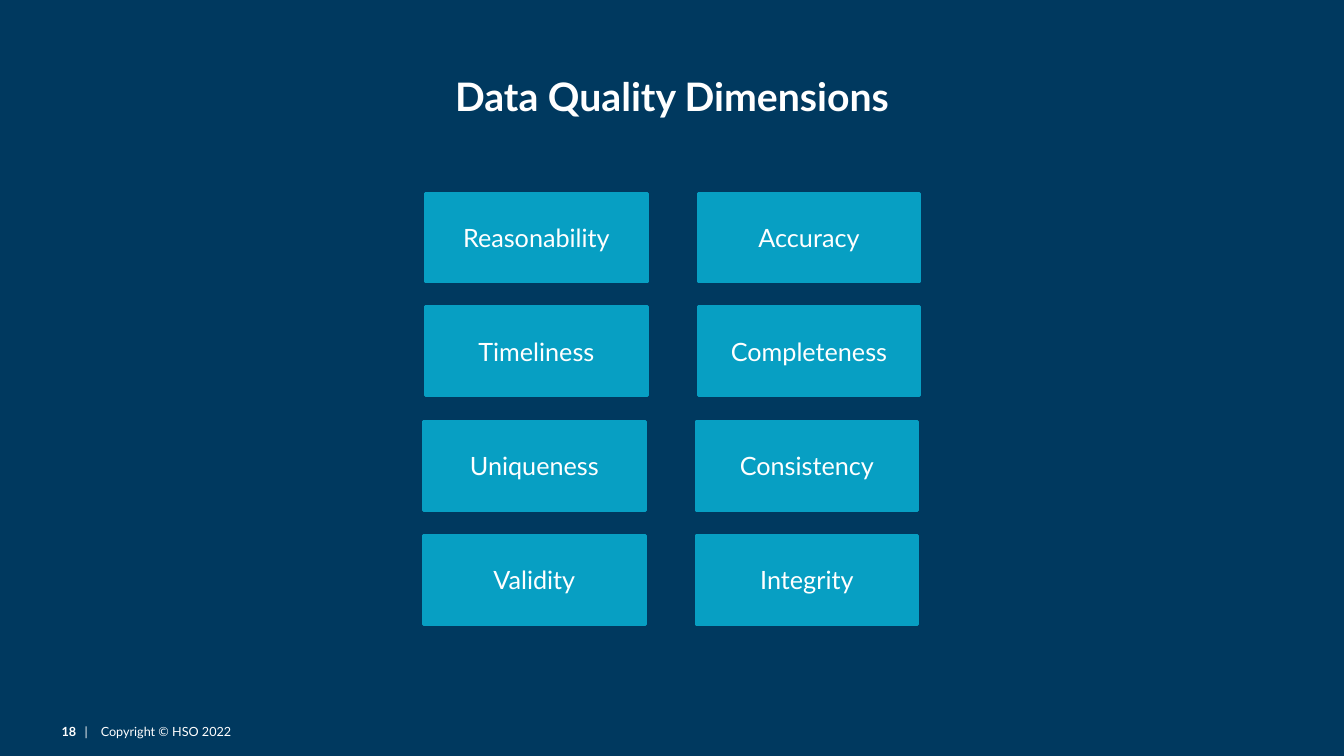
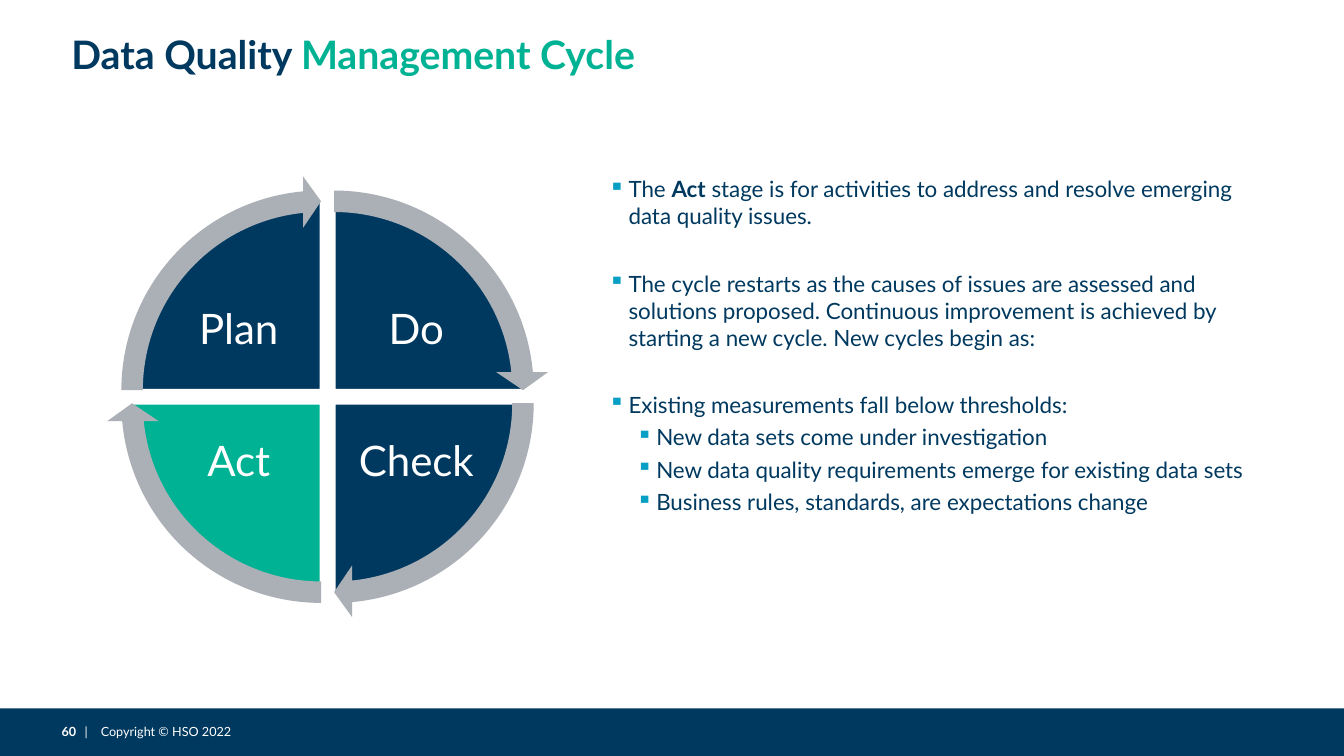
"""Build two data quality slides: the dimensions grid and the management cycle."""
import pptx
import pptx.dml.color
import pptx.enum.shapes
import pptx.enum.text
import pptx.oxml.ns
import pptx.util
from lxml import etree

Pt = pptx.util.Pt
SHAPE = pptx.enum.shapes.MSO_SHAPE
ALIGN = pptx.enum.text.PP_ALIGN
ANCHOR = pptx.enum.text.MSO_ANCHOR

COLOURS = {
    "navy": "00395F",
    "blue": "079FC3",
    "green": "00B294",
    "grey": "ABAFB6",
    "white": "FFFFFF",
}
FONT = "Lato"
SLIDE_WIDTH, SLIDE_HEIGHT = 960, 540
BAND_TOP = 506
COPYRIGHT = "Copyright © HSO 2022"

DIMENSION_ROWS = [
    (304, 138, ("Reasonability", "Accuracy")),
    (304, 219, ("Timeliness", "Completeness")),
    (302.5, 301, ("Uniqueness", "Consistency")),
    (302.5, 382.5, ("Validity", "Integrity")),
]
COLUMN_STEP = 194.7

STAGES = [
    ("Check", "navy", 1, 1),
    ("Act", "green", -1, 1),
    ("Plan", "navy", -1, -1),
    ("Do", "navy", 1, -1),
]
CYCLE_X, CYCLE_Y = 234, 283.4
HALF_GAP = 4.65
QUARTER, FULL_TURN = 54, 216
ARROW_SWEEP = 50.72

CYCLE_POINTS = [
    (0, 0, [("The ", False), ("Act", True),
            (" stage is for activities to address and resolve emerging data quality issues.", False)]),
    (0, 29, [("The cycle restarts as the causes of issues are assessed and solutions proposed. "
              "Continuous improvement is achieved by starting a new cycle. New cycles begin as:", False)]),
    (0, 29, [("Existing measurements fall below thresholds:", False)]),
    (1, 4, [("New data sets come under investigation", False)]),
    (1, 4, [("New data quality requirements emerge for existing data sets", False)]),
    (1, 4, [("Business rules, standards, are expectations change", False)]),
]


def rgb(colour):
    return pptx.dml.color.RGBColor.from_string(COLOURS[colour])


def add_run(paragraph, text, size, colour, bold=False):
    run = paragraph.add_run()
    run.text = text
    run.font.name = FONT
    run.font.size = Pt(size)
    run.font.bold = bold
    run.font.color.rgb = rgb(colour)


def set_frame(frame, inset_x, inset_y, anchor=ANCHOR.MIDDLE):
    frame.word_wrap = True
    frame.vertical_anchor = anchor
    frame.margin_left = frame.margin_right = Pt(inset_x)
    frame.margin_top = frame.margin_bottom = Pt(inset_y)


def add_text_box(slide, left, top, width, height, inset_x, inset_y, anchor=ANCHOR.MIDDLE):
    box = slide.shapes.add_textbox(Pt(left), Pt(top), Pt(width), Pt(height))
    set_frame(box.text_frame, inset_x, inset_y, anchor)
    return box.text_frame


def add_filled_shape(slide, preset, left, top, width, height, fill, line=None):
    shape = slide.shapes.add_shape(preset, Pt(left), Pt(top), Pt(width), Pt(height))
    shape.shadow.inherit = False
    shape.fill.solid()
    shape.fill.fore_color.rgb = rgb(fill)
    if line:
        shape.line.color.rgb = rgb(line)
        shape.line.width = Pt(2)
    else:
        shape.line.fill.background()
    return shape


def add_child(parent, tag, **attributes):
    child = etree.SubElement(parent, pptx.oxml.ns.qn(tag))
    for name, value in attributes.items():
        child.set(name, str(value))
    return child


def add_title(slide, top, parts, align=ALIGN.LEFT):
    paragraph = add_text_box(slide, 44, top, 872, 39.6, 7.2, 3).paragraphs[0]
    paragraph.alignment = align
    for text, colour in parts:
        add_run(paragraph, text, 28, colour, True)


def add_footer(slide, number):
    add_filled_shape(slide, SHAPE.RECTANGLE, 0, BAND_TOP, SLIDE_WIDTH, SLIDE_HEIGHT - BAND_TOP, "navy")
    paragraph = add_text_box(slide, 44, 517, 132.5, 10.8, 0, 0).paragraphs[0]
    stops = add_child(paragraph._p.get_or_add_pPr(), "a:tabLst")
    for position in (16.5, 28):
        add_child(stops, "a:tab", pos=int(Pt(position)), algn="l")
    add_run(paragraph, number, 9, "white", True)
    add_run(paragraph, f"\t|\t{COPYRIGHT}", 9, "white")


def add_dimension(slide, left, top, name):
    tile = add_filled_shape(slide, SHAPE.RECTANGLE, left, top, 158.4, 63.4, "blue", "blue")
    set_frame(tile.text_frame, 8.6, 8.6)
    paragraph = tile.text_frame.paragraphs[0]
    paragraph.alignment = ALIGN.CENTER
    add_run(paragraph, name, 18, "white")


def add_quadrant_shape(slide, preset, size, side_x, side_y, fill, adjustments, line=None):
    left = CYCLE_X + side_x * HALF_GAP - size / 2
    top = CYCLE_Y + side_y * HALF_GAP - size / 2
    quadrant = add_filled_shape(slide, preset, left, top, size, size, fill, line)
    for index, value in enumerate(adjustments):
        quadrant.adjustments[index] = value


def add_stage_label(slide, stage, side_x, side_y):
    width, height = 100.8, 75
    left = CYCLE_X + side_x * 63.4 - width / 2
    top = CYCLE_Y + side_y * 47.2 - height / 2
    paragraph = add_text_box(slide, left, top, width, height, 3, 3).paragraphs[0]
    paragraph.alignment = ALIGN.CENTER
    paragraph.line_spacing = 0.9
    add_run(paragraph, stage, 30, "white")


def add_cycle(slide):
    for index, (stage, fill, side_x, side_y) in enumerate(STAGES):
        start = index * QUARTER
        angles = (start, (start + QUARTER) % FULL_TURN)
        add_quadrant_shape(slide, SHAPE.PIE, 273, side_x, side_y, fill, angles, "white")
        add_stage_label(slide, stage, side_x, side_y)
    for index, (_, _, side_x, side_y) in enumerate(STAGES):
        start = index * QUARTER
        bend = (0.05, 3.28, start + ARROW_SWEEP, start, 0.06)
        add_quadrant_shape(slide, SHAPE.CIRCULAR_ARROW, 306.7, side_x, side_y, "grey", bend)


def add_bullets(slide, points):
    frame = add_text_box(slide, 427.7, 122.4, 489, 411, 7.2, 3, ANCHOR.TOP)
    for index, (level, space_before, runs) in enumerate(points):
        paragraph = frame.add_paragraph() if index else frame.paragraphs[0]
        paragraph.level = level
        properties = paragraph._p.get_or_add_pPr()
        properties.set("marL", str(int(Pt(14.2 + level * 19.8))))
        properties.set("indent", str(int(Pt(-14.2))))
        add_child(add_child(properties, "a:buClr"), "a:srgbClr", val=COLOURS["blue"])
        add_child(properties, "a:buChar", char="▪")
        if index:
            paragraph.space_before = Pt(space_before)
        for text, bold in runs:
            add_run(paragraph, text, 16, "navy", bold)


def add_slide(deck, background, number):
    slide = deck.slides.add_slide(deck.slide_layouts[6])
    slide.background.fill.solid()
    slide.background.fill.fore_color.rgb = rgb(background)
    add_footer(slide, number)
    return slide


def main():
    deck = pptx.Presentation()
    deck.slide_width, deck.slide_height = Pt(SLIDE_WIDTH), Pt(SLIDE_HEIGHT)

    dimensions = add_slide(deck, "navy", "18")
    add_title(dimensions, 48.5, [("Data Quality Dimensions", "white")], ALIGN.CENTER)
    for left, top, names in DIMENSION_ROWS:
        for column, name in enumerate(names):
            add_dimension(dimensions, left + column * COLUMN_STEP, top, name)

    cycle = add_slide(deck, "white", "60")
    add_title(cycle, 18.7, [("Data Quality ", "navy"), ("Management Cycle", "green")])
    add_bullets(cycle, CYCLE_POINTS)
    add_cycle(cycle)

    deck.save("out.pptx")


if __name__ == "__main__":
    main()
